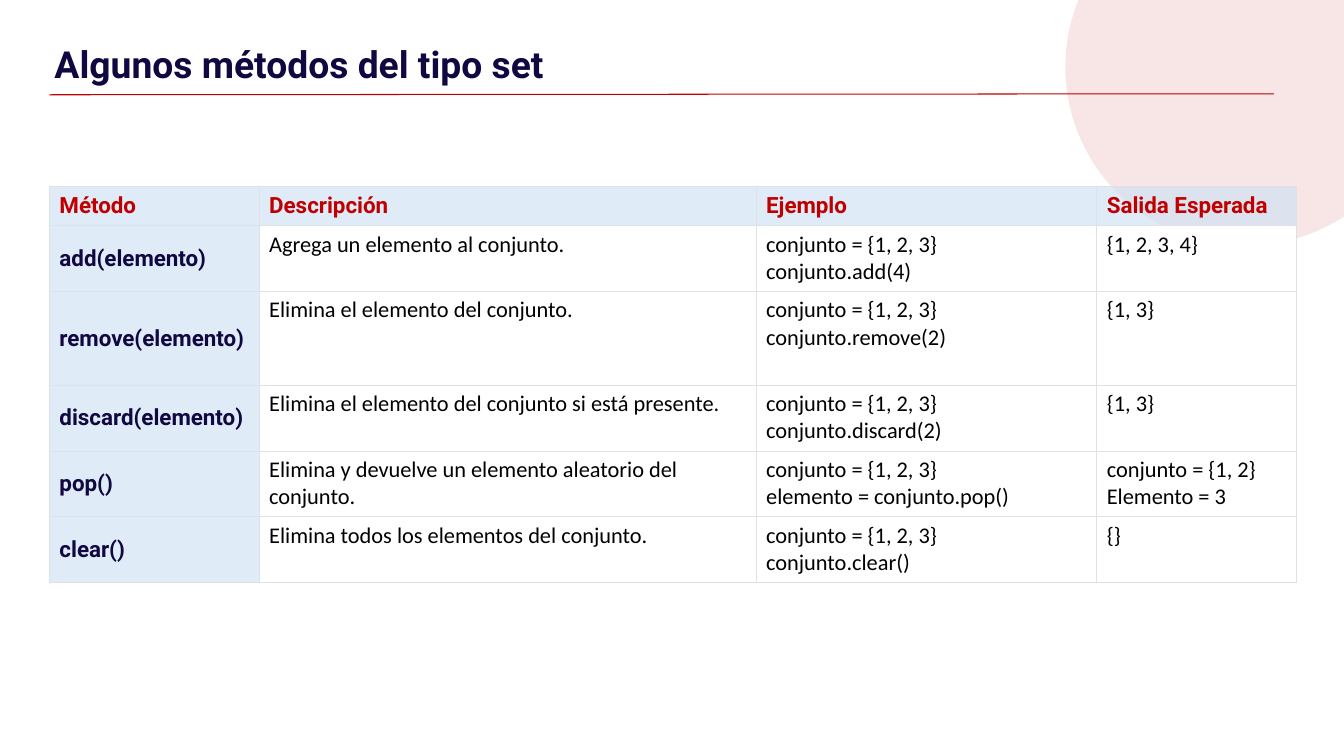
"""Build a slide that lists some methods of the Python set type."""
import pptx
import pptx.dml.color
import pptx.enum.shapes
import pptx.enum.text
import pptx.oxml
import pptx.oxml.ns
import pptx.util

TITLE = "Algunos métodos del tipo set"
HEADS = ("Método", "Descripción", "Ejemplo", "Salida Esperada")
START = "conjunto = {1, 2, 3}\n"
ROWS = [
    ("add(elemento)", "Agrega un elemento al conjunto.",
     START + "conjunto.add(4)", "{1, 2, 3, 4}"),
    ("remove(elemento)", "Elimina el elemento del conjunto.",
     START + "conjunto.remove(2)", "{1, 3}"),
    ("discard(elemento)", "Elimina el elemento del conjunto si está presente.",
     START + "conjunto.discard(2)", "{1, 3}"),
    ("pop()", "Elimina y devuelve un elemento aleatorio del conjunto.",
     START + "elemento = conjunto.pop()", "conjunto = {1, 2}\nElemento = 3"),
    ("clear()", "Elimina todos los elementos del conjunto.",
     START + "conjunto.clear()", "{}"),
]
WIDTHS = (149.8, 355, 243.4, 142.5)
HEIGHTS = (28, 47, 67, 47, 47, 47)
LEFT = 35.3

THEME = {
    "red": "C00000", "navy": "110741", "black": "000000", "white": "FFFFFF",
    "blue": "CFE2F3", "grid": "DEE2E6",
    "head": "Roboto", "body": "Calibri",
    "title": 26.6, "cell": 16, "line": 0.75,
}

Pt = pptx.util.Pt


def color(name):
    return pptx.dml.color.RGBColor.from_string(THEME[name])


def paint(fill, name, alpha=100):
    fill.solid()
    fill.fore_color.rgb = color(name)
    if alpha < 100:
        tone = fill._xPr.find(".//" + pptx.oxml.ns.qn("a:srgbClr"))
        tone.append(pptx.oxml.parse_xml(
            f'<a:alpha {pptx.oxml.ns.nsdecls("a")} val="{alpha * 1000}"/>'))


def write(frame, text, font="body", size="cell", hue="black", bold=False):
    for num, line in enumerate(text.split("\n")):
        para = frame.add_paragraph() if num else frame.paragraphs[0]
        run = para.add_run()
        run.text = line
        run.font.name = THEME[font]
        run.font.size = Pt(THEME[size])
        run.font.bold = bold
        run.font.color.rgb = color(hue)


def frame_cell(cell):
    props = cell._tc.get_or_add_tcPr()
    for num, side in enumerate("LRTB"):
        props.insert(num, pptx.oxml.parse_xml(
            f'<a:ln{side} {pptx.oxml.ns.nsdecls("a")} w="{Pt(THEME["line"])}">'
            f'<a:solidFill><a:srgbClr val="{THEME["grid"]}"/></a:solidFill>'
            f'</a:ln{side}>'))


def add_circle(slide):
    disc = slide.shapes.add_shape(
        pptx.enum.shapes.MSO_SHAPE.OVAL, Pt(761), Pt(-80), Pt(257), Pt(255.6))
    disc.shadow.inherit = False
    disc.line.fill.background()
    paint(disc.fill, "red", 10)


def add_title(slide):
    rule = slide.shapes.add_connector(
        pptx.enum.shapes.MSO_CONNECTOR.STRAIGHT,
        Pt(LEFT), Pt(67.7), Pt(910), Pt(67))
    rule.line.color.rgb = color("red")
    rule.line.width = Pt(THEME["line"])
    rule._element.spPr.append(pptx.oxml.parse_xml(
        f'<a:effectLst {pptx.oxml.ns.nsdecls("a")}/>'))
    frame = slide.shapes.add_textbox(Pt(29.5), 0, Pt(826), Pt(55)).text_frame
    frame.word_wrap = True
    frame.margin_left = frame.margin_right = Pt(9.4)
    frame.margin_top, frame.margin_bottom = Pt(29.6), 0
    write(frame, TITLE, font="head", size="title", hue="navy", bold=True)


def add_grid(slide):
    table = slide.shapes.add_table(
        len(ROWS) + 1, len(HEADS), Pt(LEFT), Pt(133.2),
        Pt(sum(WIDTHS)), Pt(sum(HEIGHTS))).table
    table.first_row = table.horz_banding = False
    for col, width in zip(table.columns, WIDTHS):
        col.width = Pt(width)
    for row, height in zip(table.rows, HEIGHTS):
        row.height = Pt(height)
    for y, texts in enumerate([HEADS] + ROWS):
        for x, text in enumerate(texts):
            cell = table.cell(y, x)
            cell.margin_left = cell.margin_right = Pt(7.2)
            cell.margin_top = cell.margin_bottom = Pt(3.6)
            if y == 0 or x == 0:
                cell.vertical_anchor = pptx.enum.text.MSO_ANCHOR.MIDDLE
                paint(cell.fill, "blue", 65)
                write(cell.text_frame, text, font="head",
                      hue="navy" if y else "red", bold=True)
            else:
                paint(cell.fill, "white")
                write(cell.text_frame, text)
            frame_cell(cell)


def main():
    deck = pptx.Presentation()
    deck.slide_width, deck.slide_height = Pt(960), Pt(540)
    slide = deck.slides.add_slide(deck.slide_layouts[6])
    add_circle(slide)
    add_title(slide)
    add_grid(slide)
    deck.save("out.pptx")


if __name__ == "__main__":
    main()
